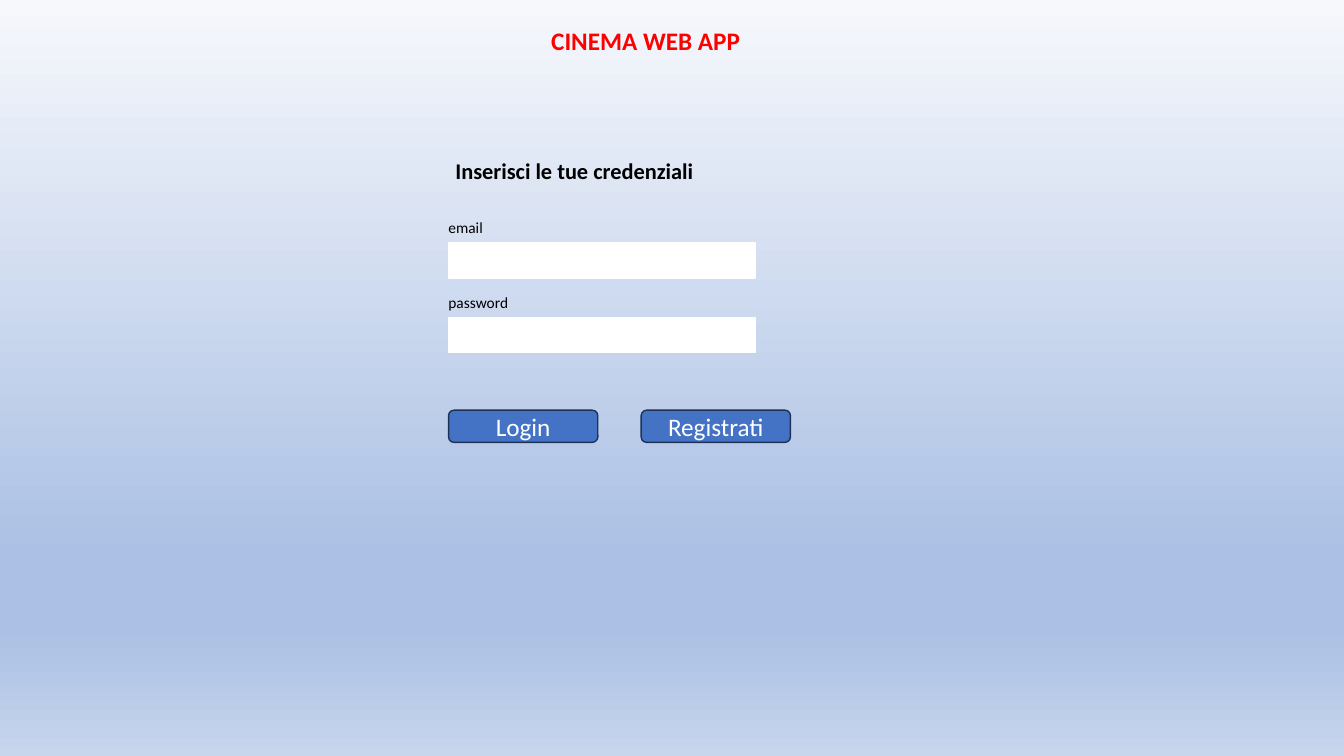
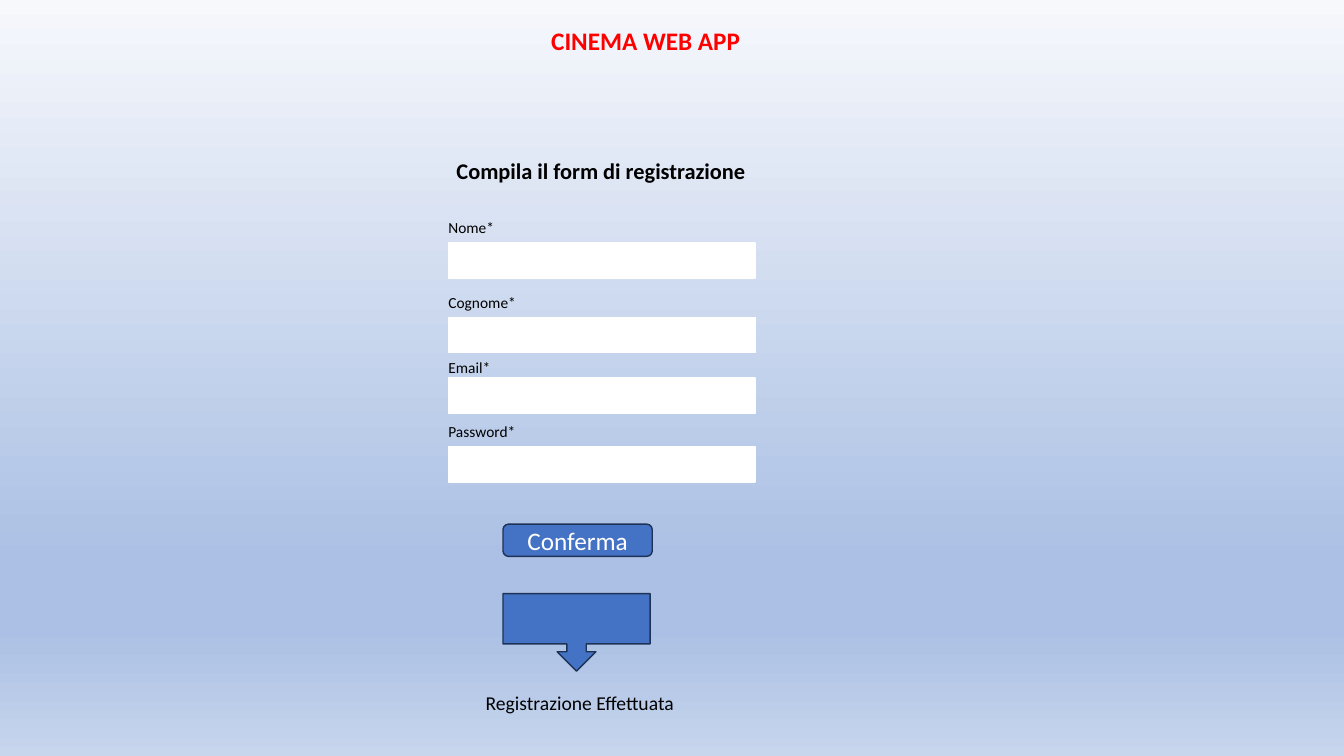
"""Build the login and registration screens of the cinema web app."""
import dataclasses

import lxml.etree
import pptx
import pptx.dml.color
import pptx.enum.shapes
import pptx.enum.text
import pptx.oxml.ns
import pptx.presentation
import pptx.shapes.autoshape
import pptx.slide
import pptx.text.text
import pptx.util

Pt = pptx.util.Pt
ShapeKind = pptx.enum.shapes.MSO_SHAPE
Align = pptx.enum.text.PP_ALIGN
Anchor = pptx.enum.text.MSO_ANCHOR

FONT = "Calibri"
COLORS = {
    "title": "FF0000",
    "text": "000000",
    "field": "FFFFFF",
    "button": "4472C4",
    "outline": "1E3256",
    "button_text": "FFFFFF",
    "sky_light": "F6F8FC",
    "sky_deep": "ABC0E4",
    "sky_base": "C7D5ED",
}
BACKGROUND_STOPS = ((0, "sky_light"), (74, "sky_deep"), (83, "sky_deep"), (100, "sky_base"))


@dataclasses.dataclass(frozen=True)
class Box:
    left: float
    top: float
    width: float
    height: float

    def lengths(self) -> tuple[pptx.util.Length, ...]:
        return tuple(Pt(value) for value in dataclasses.astuple(self))


@dataclasses.dataclass(frozen=True)
class Field:
    label: str
    label_top: float
    input_top: float


@dataclasses.dataclass(frozen=True)
class Button:
    text: str
    left: float
    top: float


@dataclasses.dataclass(frozen=True)
class Screen:
    heading: str
    heading_left: float
    fields: tuple[Field, ...]
    buttons: tuple[Button, ...]


TITLE_BOX = Box(386.5, 14.4, 200, 29)
LOGIN = Screen(
    "Inserisci le tue credenziali",
    318.2,
    (Field("email", 152.6, 173.5), Field("password", 206, 226.8)),
    (Button("Login", 320.4, 293), Button("Registrati", 458, 293)),
)
REGISTRATION = Screen(
    "Compila il form di registrazione",
    319,
    (
        Field("Nome*", 152.6, 173.5),
        Field("Cognome*", 206, 226.8),
        Field("Email*", 252, 270),
        Field("Password*", 298, 319),
    ),
    (Button("Conferma", 359.3, 374.4),),
)


def rgb(name: str) -> pptx.dml.color.RGBColor:
    return pptx.dml.color.RGBColor.from_string(COLORS[name])


def write_text(
    frame: pptx.text.text.TextFrame,
    text: str,
    *,
    size: float,
    color: str = "text",
    bold: bool = False,
    align: Align = Align.LEFT,
    anchor: Anchor = Anchor.TOP,
) -> None:
    frame.word_wrap = True
    frame.auto_size = pptx.enum.text.MSO_AUTO_SIZE.NONE
    frame.vertical_anchor = anchor
    paragraph = frame.paragraphs[0]
    paragraph.alignment = align
    run = paragraph.add_run()
    run.text = text
    run.font.name = FONT
    run.font.size = Pt(size)
    run.font.bold = bold
    run.font.color.rgb = rgb(color)


def add_label(
    slide: pptx.slide.Slide, box: Box, text: str, *, size: float, bold: bool = False
) -> None:
    write_text(slide.shapes.add_textbox(*box.lengths()).text_frame, text, size=size, bold=bold)


def add_block(
    slide: pptx.slide.Slide, kind: ShapeKind, box: Box, *, fill: str, line: str
) -> pptx.shapes.autoshape.Shape:
    shape = slide.shapes.add_shape(kind, *box.lengths())
    shape.shadow.inherit = False
    shape.fill.solid()
    shape.fill.fore_color.rgb = rgb(fill)
    shape.line.color.rgb = rgb(line)
    shape.line.width = Pt(1)
    return shape


def add_field(slide: pptx.slide.Slide, field: Field) -> None:
    input_box = Box(320.4, field.input_top, 218.9, 25.2)
    add_block(slide, ShapeKind.RECTANGLE, input_box, fill="field", line="field")
    add_label(slide, Box(313.2, field.label_top, 216, 20.9), field.label, size=11)


def add_button(slide: pptx.slide.Slide, button: Button) -> None:
    box = Box(button.left, button.top, 106.6, 23)
    shape = add_block(slide, ShapeKind.ROUNDED_RECTANGLE, box, fill="button", line="outline")
    write_text(
        shape.text_frame,
        button.text,
        size=18,
        color="button_text",
        align=Align.CENTER,
        anchor=Anchor.MIDDLE,
    )


def set_background(presentation: pptx.presentation.Presentation) -> None:
    master = presentation.slide_master
    fill = master.background.fill
    fill.gradient()
    fill.gradient_angle = 270
    qualified = pptx.oxml.ns.qn
    stops = master.element.find(".//" + qualified("a:gsLst"))
    stops.clear()
    for percent, color in BACKGROUND_STOPS:
        stop = lxml.etree.SubElement(stops, qualified("a:gs"), pos=str(percent * 1000))
        lxml.etree.SubElement(stop, qualified("a:srgbClr"), val=COLORS[color])


def add_screen(
    presentation: pptx.presentation.Presentation, screen: Screen
) -> pptx.slide.Slide:
    slide = presentation.slides.add_slide(presentation.slide_layouts.get_by_name("Title Only"))
    title = slide.shapes.title
    title.left, title.top, title.width, title.height = TITLE_BOX.lengths()
    write_text(title.text_frame, "CINEMA WEB APP", size=18, color="title", bold=True)
    heading_box = Box(screen.heading_left, 108.7, 277, 26.6)
    add_label(slide, heading_box, screen.heading, size=16, bold=True)
    for field in screen.fields:
        add_field(slide, field)
    for button in screen.buttons:
        add_button(slide, button)
    return slide


def main() -> None:
    presentation = pptx.Presentation()
    presentation.slide_width, presentation.slide_height = Pt(960), Pt(540)
    set_background(presentation)
    add_screen(presentation, LOGIN)
    slide = add_screen(presentation, REGISTRATION)
    callout_box = Box(359.3, 424, 105.1, 55.4)
    add_block(slide, ShapeKind.DOWN_ARROW_CALLOUT, callout_box, fill="button", line="outline")
    add_label(slide, Box(339.8, 490.3, 216, 24.5), "Registrazione Effettuata", size=14)
    presentation.save("out.pptx")


if __name__ == "__main__":
    main()
